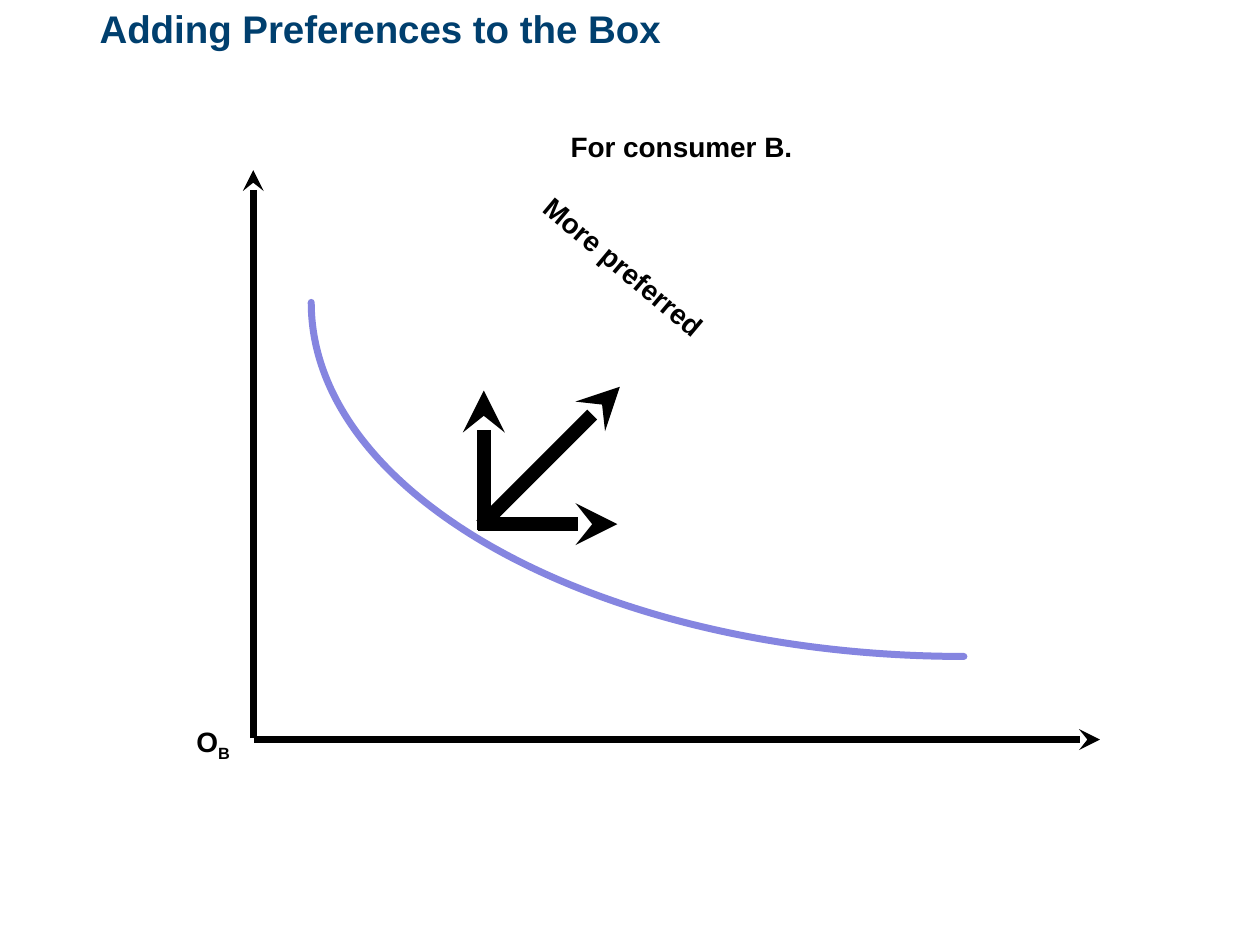
from pptx import Presentation
from pptx.dml.color import RGBColor
from pptx.enum.shapes import MSO_CONNECTOR
from pptx.enum.text import MSO_ANCHOR as Anchor, MSO_AUTO_SIZE as AutoSize, PP_ALIGN as Align
from pptx.oxml.ns import qn
from pptx.util import Inches, Pt
from lxml.etree import SubElement

NAVY = RGBColor(0x00, 0x3F, 0x6E)
BLACK = RGBColor(0x00, 0x00, 0x00)
LAVENDER = RGBColor(0x85, 0x85, 0xE0)


def format_run(run, size, color):
    run.font.name = "Arial"
    run.font.size = Pt(size)
    run.font.bold = True
    run.font.color.rgb = color


def add_title(slide, text):
    title = slide.shapes.title
    title.left, title.top = Inches(0.79), Inches(0.04)
    title.width, title.height = Inches(6.5), Inches(0.92)
    frame = title.text_frame
    frame.margin_left = frame.margin_top = frame.margin_right = frame.margin_bottom = 0
    frame.vertical_anchor = Anchor.TOP
    frame.auto_size = AutoSize.NONE
    frame.text = text
    frame.paragraphs[0].alignment = Align.LEFT
    format_run(frame.paragraphs[0].runs[0], 22, NAVY)


def add_label(slide, text, left, top, width, rotation=0, subscript=None):
    label = slide.shapes.add_textbox(Inches(left), Inches(top), Inches(width), Inches(0.63))
    label.rotation = rotation
    frame = label.text_frame
    frame.word_wrap = True
    frame.text = text
    paragraph = frame.paragraphs[0]
    if subscript:
        index = paragraph.add_run()
        index.text = subscript
        index.font._element.set("baseline", "-25000")
    for run in paragraph.runs:
        format_run(run, 16, BLACK)


def add_arrow(slide, start, end, weight):
    arrow = slide.shapes.add_connector(
        MSO_CONNECTOR.STRAIGHT, *(Inches(value) for value in start + end))
    arrow.line.color.rgb = BLACK
    arrow.line.width = Pt(weight)
    properties = arrow._element.spPr
    SubElement(properties.find(qn("a:ln")), qn("a:tailEnd"), type="stealth")
    SubElement(properties, qn("a:effectLst"))


def add_indifference_curve(slide, start, *controls_and_end):
    builder = slide.shapes.build_freeform(*(Inches(value) for value in start))
    builder.add_line_segments(
        [(Inches(x), Inches(y)) for x, y in controls_and_end], close=False)
    curve = builder.convert_to_shape()
    curve.shadow.inherit = False
    curve.fill.background()
    curve.line.color.rgb = LAVENDER
    curve.line.width = Pt(4)
    curve.line._ln.set("cap", "rnd")
    outline = curve._element.spPr.find(".//" + qn("a:path"))
    bezier = SubElement(outline, qn("a:cubicBezTo"))
    for segment in outline.findall(qn("a:lnTo")):
        bezier.append(segment[0])
        outline.remove(segment)


def main():
    presentation = Presentation()
    presentation.slide_width, presentation.slide_height = Inches(10), Inches(7.5)
    slide = presentation.slides.add_slide(presentation.slide_layouts[5])

    add_title(slide, "Adding Preferences to the Box")

    add_arrow(slide, (2.01, 5.86), (2.01, 1.35), 4)
    add_arrow(slide, (2.02, 5.87), (8.73, 5.87), 4)

    add_arrow(slide, (3.84, 4.21), (3.84, 3.1), 8)
    add_arrow(slide, (3.79, 4.16), (4.9, 4.16), 8)
    add_arrow(slide, (3.82, 4.17), (4.92, 3.07), 8)

    add_label(slide, "More preferred", 3.8, 2.41, 3.34, rotation=40)
    add_label(slide, "For consumer B.", 4.43, 0.98, 3.73)
    add_label(slide, "O", 1.46, 5.7, 0.76, subscript="B")

    add_indifference_curve(slide, (7.65, 5.21), (4.79, 5.21), (2.47, 3.95), (2.47, 2.4))

    presentation.save("out.pptx")


if __name__ == "__main__":
    main()
